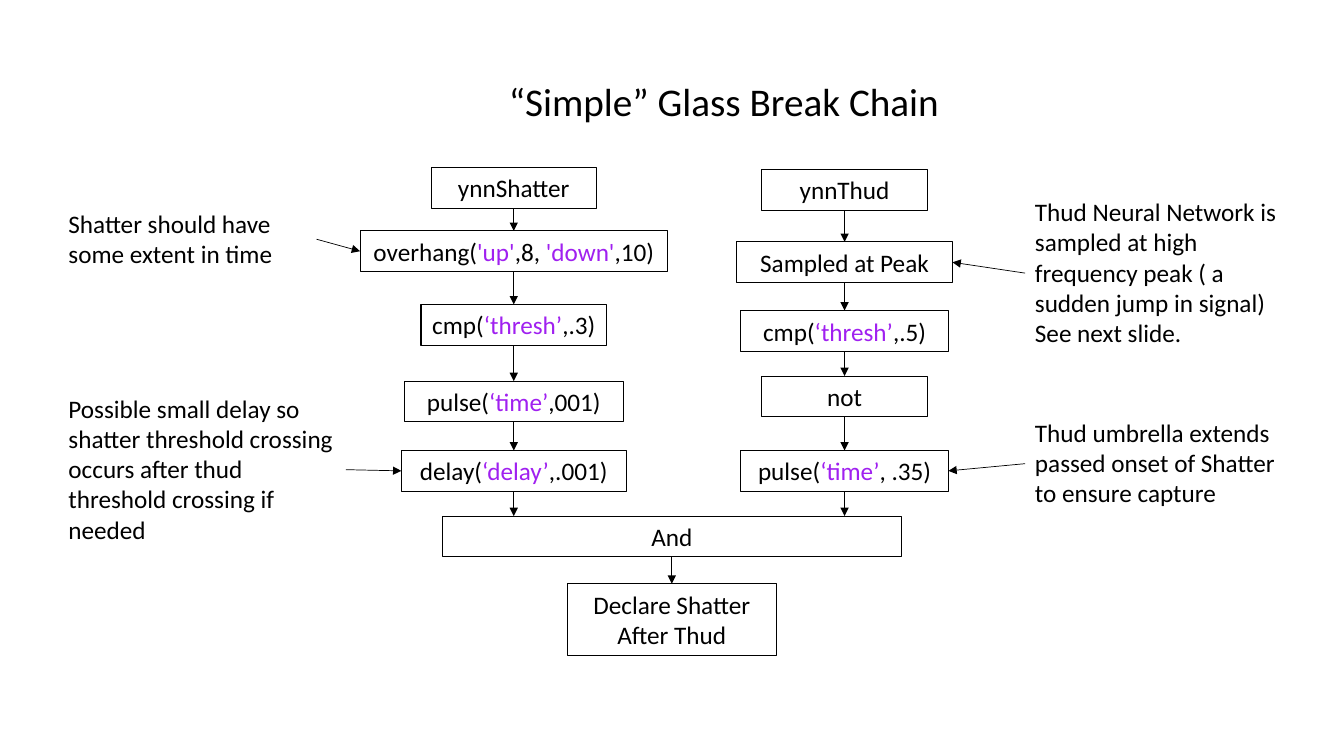
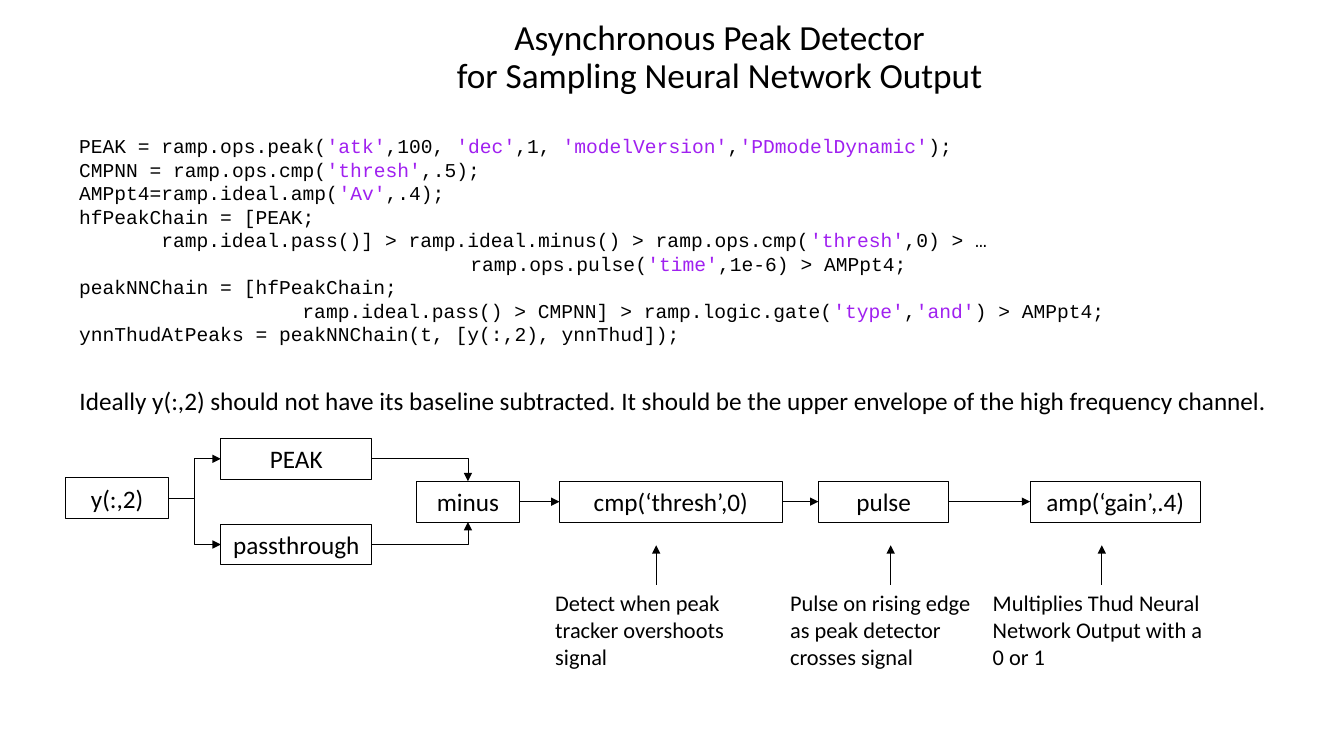
from lxml import etree
from pptx import Presentation
from pptx.dml.color import RGBColor
from pptx.enum.shapes import MSO_CONNECTOR, MSO_SHAPE
from pptx.enum.text import MSO_ANCHOR, MSO_AUTO_SIZE, PP_ALIGN
from pptx.oxml.ns import qn
from pptx.util import Pt

RECTANGLE = MSO_SHAPE.RECTANGLE
STRAIGHT, ELBOW = MSO_CONNECTOR.STRAIGHT, MSO_CONNECTOR.ELBOW
LEFT, CENTER = PP_ALIGN.LEFT, PP_ALIGN.CENTER
TOP, MIDDLE = MSO_ANCHOR.TOP, MSO_ANCHOR.MIDDLE
NO_AUTOFIT = MSO_AUTO_SIZE.NONE

BLACK = RGBColor(0x00, 0x00, 0x00)
PURPLE = RGBColor(0xA0, 0x20, 0xF0)
BODY_FONT, CODE_FONT = "Calibri", "Courier New"
BOX_HEIGHT = 29.1
# Connection sites of a rectangle
TOP_SITE, LEFT_SITE, BOTTOM_SITE, RIGHT_SITE = range(4)


def add_text(page, left, top, width, height, lines, boxed=False, size=18, font=BODY_FONT):
    """Add a note or an outlined box; text between | marks is purple."""
    place = Pt(left), Pt(top), Pt(width), Pt(height)
    if boxed:
        shape = page.shapes.add_shape(RECTANGLE, *place)
        shape.shadow.inherit = False
        shape.fill.background()
        shape.line.color.rgb = BLACK
        shape.line.width = Pt(0.75)
    else:
        shape = page.shapes.add_textbox(*place)
    frame = shape.text_frame
    frame.word_wrap = not boxed
    frame.vertical_anchor = MIDDLE if boxed else TOP
    for number, line in enumerate(lines):
        para = frame.add_paragraph() if number else frame.paragraphs[0]
        para.alignment = CENTER if boxed else LEFT
        para.font.name, para.font.size = font, Pt(size)
        para.font.color.rgb = BLACK
        for index, words in enumerate(line.split("|")):
            span = para.add_run()
            span.text = words
            span.font.color.rgb = PURPLE if index % 2 else BLACK
    return shape


def add_arrow(page, start, end, kind=STRAIGHT, preset=None):
    """Draw an arrow; each end is an (x, y) point or a (box, site) pair."""
    arrow = page.shapes.add_connector(kind, 0, 0, 0, 0)
    if isinstance(start[0], (int, float)):
        arrow.begin_x, arrow.begin_y = Pt(start[0]), Pt(start[1])
    else:
        arrow.begin_connect(*start)
    if isinstance(end[0], (int, float)):
        arrow.end_x, arrow.end_y = Pt(end[0]), Pt(end[1])
    else:
        arrow.end_connect(*end)
    arrow.line.color.rgb = BLACK
    arrow.line.width = Pt(0.5)
    properties = arrow._element.spPr
    etree.SubElement(properties.find(qn("a:ln")), qn("a:tailEnd"), type="triangle")
    etree.SubElement(properties, qn("a:effectLst"))
    if preset:
        properties.find(qn("a:prstGeom")).set("prst", preset)


deck = Presentation()
deck.slide_width, deck.slide_height = Pt(960), Pt(540)

# Pages and their titles
TITLES = [
    ("“Simple” Glass Break Chain", 255.6, 54, 28),
    ("Asynchronous Peak Detector\vfor Sampling Neural Network Output", 252.7, 20.9, 25.2),
]
for words, left, top, size in TITLES:
    page = deck.slides.add_slide(deck.slide_layouts[5])
    title = page.shapes.title
    title.left, title.top, title.width, title.height = Pt(left), Pt(top), Pt(522.7), Pt(41)
    title.text_frame.text = words
    title.text_frame.auto_size = NO_AUTOFIT
    title.text_frame.vertical_anchor = MIDDLE
    para = title.text_frame.paragraphs[0]
    para.alignment, para.line_spacing = CENTER, 0.9
    para.font.name, para.font.size = BODY_FONT, Pt(size)
    para.font.color.rgb = BLACK
chain_page, detector_page = deck.slides

# Slide 1: the two chains, as (text, top, width) around a centre line
SHATTER_X, THUD_X, AND_TOP = 367, 603.3, 368.6
SHATTER_STEPS = [
    ("ynnShatter", 119.5, 118.1),
    ("overhang(|'up'|,8, |'down'|,10)", 164.9, 219.6),
    ("cmp(|‘thresh’|,.3)", 217.4, 132.5),
    ("pulse(|‘time’|,001)", 272.2, 156.2),
    ("delay(|‘delay’|,.001)", 321.8, 160.6),
]
THUD_STEPS = [
    ("ynnThud", 121, 118.1),
    ("Sampled at Peak", 172.8, 154.1),
    ("cmp(|‘thresh’|,.5)", 221.8, 148.3),
    ("not", 268.6, 118.1),
    ("pulse(|‘time’|, .35)", 321.8, 148.3),
]
chains = []
for center, steps in [(SHATTER_X, SHATTER_STEPS), (THUD_X, THUD_STEPS)]:
    boxes = [add_text(chain_page, center - width / 2, top, width, BOX_HEIGHT, [words], boxed=True)
             for words, top, width in steps]
    for upper, lower in zip(boxes, boxes[1:]):
        add_arrow(chain_page, (upper, BOTTOM_SITE), (lower, TOP_SITE))
    add_arrow(chain_page, (boxes[-1], BOTTOM_SITE), (center, AND_TOP))
    chains.append(boxes)
shatter, thud = chains

# Slide 1: where the chains meet
and_box = add_text(chain_page, 316.1, AND_TOP, 327.6, BOX_HEIGHT, ["And"], boxed=True)
result = add_text(chain_page, 405.4, 416.9, 149, 51.1,
                  ["Declare Shatter", "After Thud"], boxed=True)
add_arrow(chain_page, (and_box, BOTTOM_SITE), (result, TOP_SITE))

# Slide 1: side notes, each with an arrow to its step
SIDE_NOTES = [
    (41.8, 145.4, 184.3, 51.1, ["Shatter should have some extent in time"],
     (226.1, 170.9), (shatter[1], LEFT_SITE)),
    (41.8, 277.2, 205.2, 116.6,
     ["Possible small delay so shatter threshold crossing occurs after thud "
      "threshold crossing if needed"],
     (247, 335.5), (shatter[4], LEFT_SITE)),
    (732.2, 136.8, 196.6, 116.6,
     ["Thud Neural Network is sampled at high frequency peak ( a sudden jump in signal)",
      "See next slide."],
     (732.2, 195.1), (thud[1], RIGHT_SITE)),
    (732.2, 294.5, 203, 72.7,
     ["Thud umbrella extends passed onset of Shatter to ensure capture"],
     (732.2, 331.2), (thud[4], RIGHT_SITE)),
]
for left, top, width, height, lines, start, end in SIDE_NOTES:
    add_text(chain_page, left, top, width, height, lines)
    add_arrow(chain_page, start, end)

# Slide 2: code listing, as (indent, line)
CODE = [
    (8.4, "PEAK = ramp.ops.peak(|'atk'|,100, |'dec'|,1, |'modelVersion'|,|'PDmodelDynamic'|);"),
    (8.4, "CMPNN = ramp.ops.cmp(|'thresh'|,.5);"),
    (8.4, "AMPpt4=ramp.ideal.amp(|'Av'|,.4);"),
    (8.4, "hfPeakChain = [PEAK;"),
    (67.2, "ramp.ideal.pass()] > ramp.ideal.minus() > ramp.ops.cmp(|'thresh'|,0) > …"),
    (288, "ramp.ops.pulse(|'time'|,1e-6) > AMPpt4;"),
    (8.4, "peakNNChain = [hfPeakChain;"),
    (168, "ramp.ideal.pass() > CMPNN] > ramp.logic.gate(|'type'|,|'and'|) > AMPpt4;"),
    (8.4, "ynnThudAtPeaks = peakNNChain(t, [y(:,2), ynnThud]);"),
]
listing = add_text(detector_page, 41, 92.2, 883.4, 159.8, [line for _, line in CODE],
                   size=14, font=CODE_FONT)
for para, (indent, _) in zip(listing.text_frame.paragraphs, CODE):
    properties = para._p.get_or_add_pPr()
    properties.set("marL", str(int(Pt(indent))))
    properties.set("indent", "0")
add_text(detector_page, 49.7, 271.4, 890, BOX_HEIGHT,
         ["Ideally y(:,2) should not have its baseline subtracted. "
          "It should be the upper envelope of the high frequency channel."])

# Slide 2: signal flow, as (text, left, top, width)
ROW_TOP = 343.8
FLOW = [
    ("y(:,2)", 46.8, 341.3, 73.8),
    ("PEAK", 157.7, 313.2, 108),
    ("passthrough", 157.7, 374.4, 108),
    ("minus", 297.4, ROW_TOP, 73.8),
    ("cmp(‘thresh’,0)", 399.6, ROW_TOP, 159.1),
    ("pulse", 584.6, ROW_TOP, 93.2),
    ("amp(‘gain’,.4)", 735.8, ROW_TOP, 121.7),
]
flow = [add_text(detector_page, left, top, width, BOX_HEIGHT, [words], boxed=True)
        for words, left, top, width in FLOW]
source, peak, passthrough, minus = flow[:4]
for branch, site in [(peak, TOP_SITE), (passthrough, BOTTOM_SITE)]:
    add_arrow(detector_page, (source, RIGHT_SITE), (branch, LEFT_SITE), ELBOW)
    add_arrow(detector_page, (branch, RIGHT_SITE), (minus, site), ELBOW, "bentConnector2")
for before, after in zip(flow[3:], flow[4:]):
    add_arrow(detector_page, (before, RIGHT_SITE), (after, LEFT_SITE))

# Slide 2: notes below the flow, as (text, left, width, arrow x)
NOTE_TOP, ARROW_TIP = 417.6, 389.5
FLOW_NOTES = [
    ("Detect when peak tracker overshoots signal", 389.5, 159.1, 468.7),
    ("Pulse on rising edge as peak detector crosses signal", 557.3, 159.1, 636.2),
    ("Multiplies Thud Neural Network Output with a 0 or 1", 702, 169.2, 787),
]
for words, left, width, arrow_x in FLOW_NOTES:
    add_text(detector_page, left, NOTE_TOP, width, 65.5, [words], size=16)
    add_arrow(detector_page, (arrow_x, NOTE_TOP), (arrow_x, ARROW_TIP))

deck.save("out.pptx")
